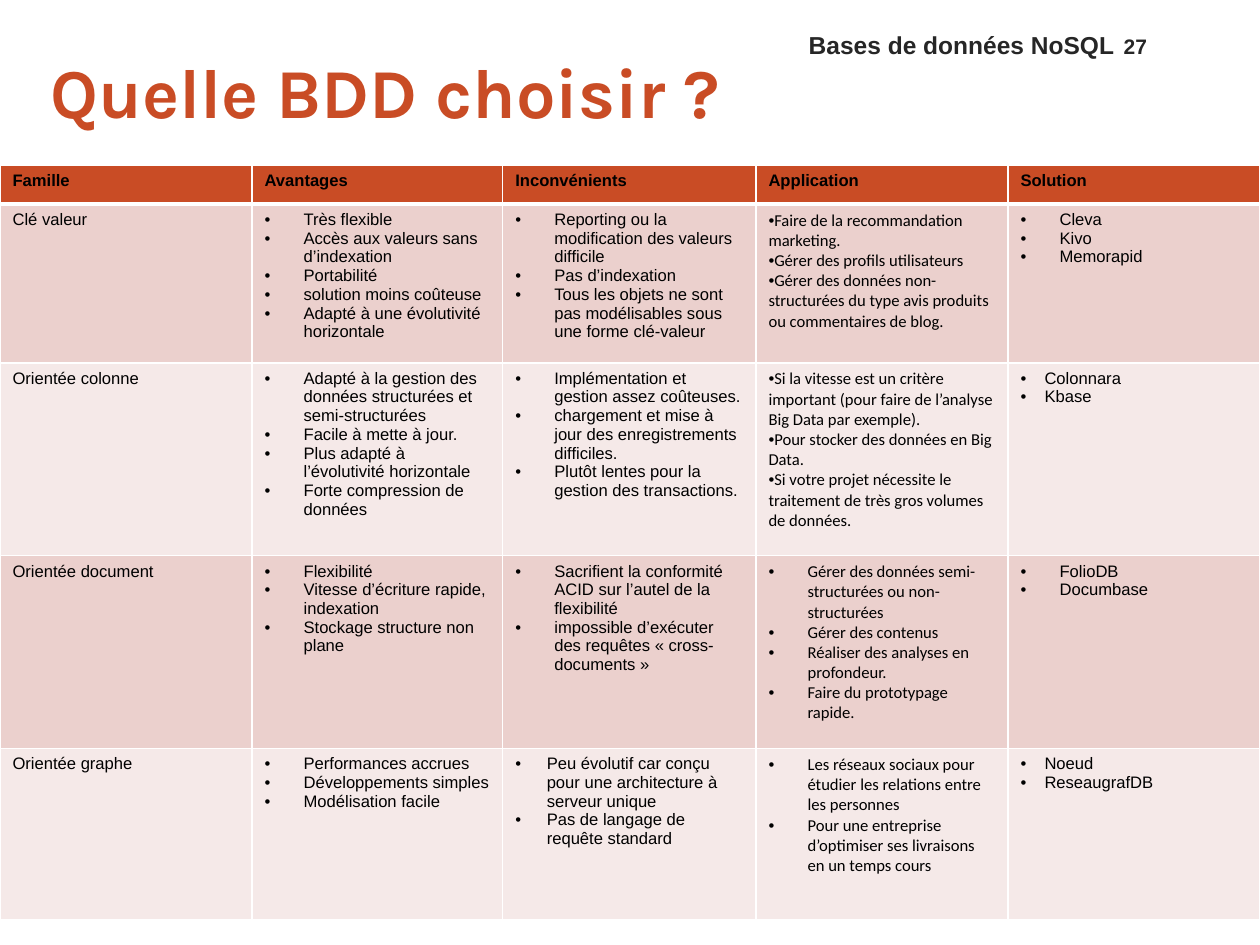
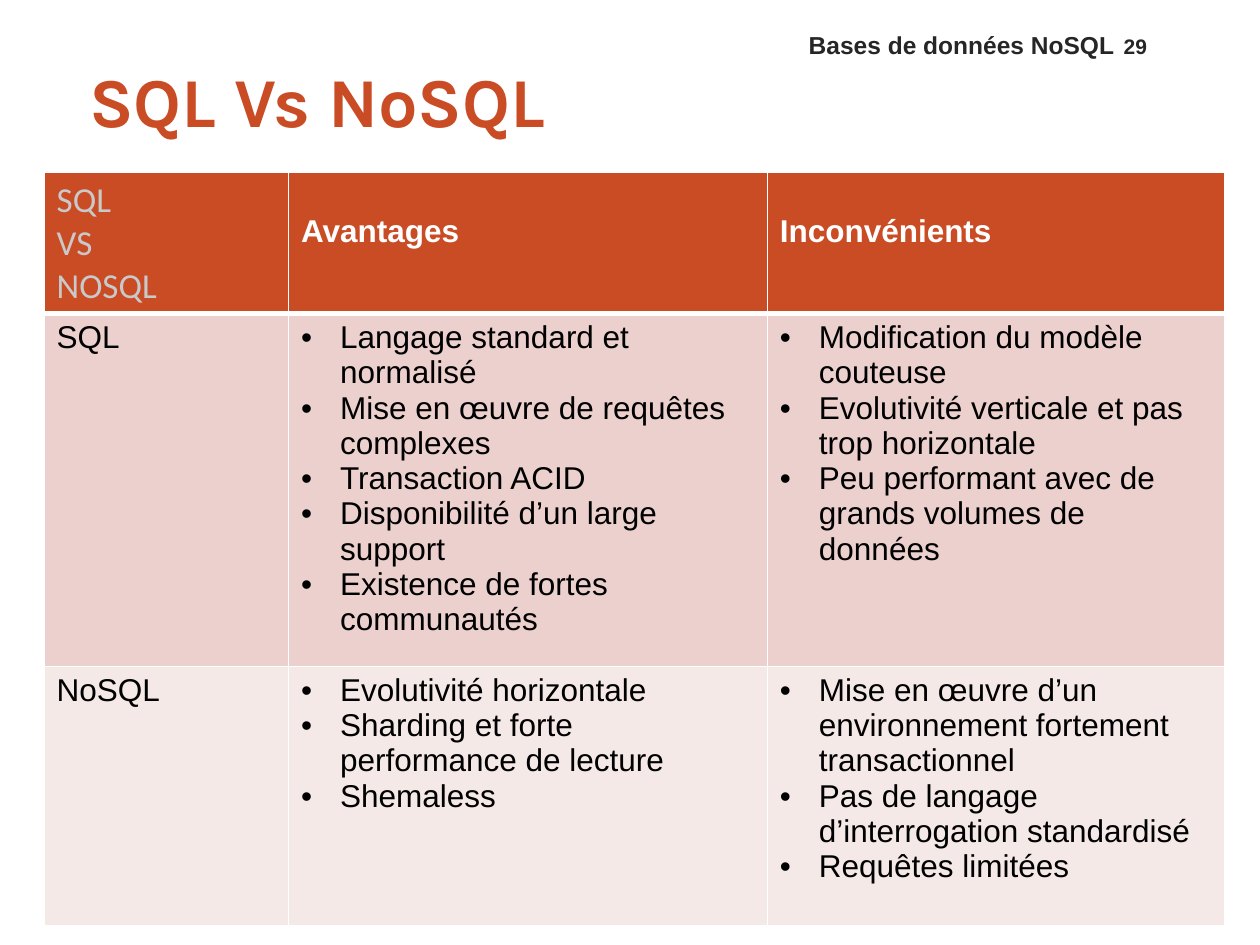
"""Builds two slides comparing database families, and SQL with NoSQL."""
from dataclasses import dataclass

from lxml import etree
from pptx import Presentation
from pptx import util as u
from pptx.dml.color import RGBColor
from pptx.enum import text
from pptx.oxml import ns

COLORS = {
    "accent": "C94C25",
    "dark_band": "EBD0CD",
    "light_band": "F5E9E8",
    "rule": "FFFFFF",
    "white": "FFFFFF",
    "body": "000000",
    "footer": "262626",
    "muted": "C9C9C9",
}
BLANK_LAYOUT = 6
COURSE = "Bases de données NoSQL"


@dataclass
class Style:
    size: float
    color: str = "body"
    bold: bool = False
    font: str = "Arial"


@dataclass
class Entry:
    lines: list
    indent: float = 0.31
    font: str = "Arial"


@dataclass
class Heading:
    lines: list
    style: Style
    top: float = 0.05


def calibri(*lines, indent=0.31):
    return Entry(lines, indent, "Calibri")


def bullets(*lines, indent=0.31):
    return Entry(lines, indent)


FAMILIES = [
    ["Clé valeur",
     bullets("Très flexible", "Accès aux valeurs sans d’indexation", "Portabilité",
             "solution moins coûteuse", "Adapté à une évolutivité horizontale"),
     bullets("Reporting ou la modification des valeurs difficile", "Pas d’indexation",
             "Tous les objets ne sont pas modélisables sous une forme clé-valeur"),
     calibri("Faire de la recommandation marketing.", "Gérer des profils utilisateurs",
             "Gérer des données non-structurées du type avis produits ou commentaires "
             "de blog.", indent=0),
     bullets("Cleva", "Kivo", "Memorapid")],
    ["Orientée colonne",
     bullets("Adapté à la gestion des données structurées et semi-structurées",
             "Facile à mette à jour.", "Plus adapté à l’évolutivité horizontale",
             "Forte compression de données"),
     bullets("Implémentation et gestion assez coûteuses.",
             "chargement et mise à jour des enregistrements difficiles.",
             "Plutôt lentes pour la gestion des transactions."),
     calibri("Si la vitesse est un critère important (pour faire de l’analyse Big Data "
             "par exemple).", "Pour stocker des données en Big Data.",
             "Si votre projet nécessite le traitement de très gros volumes de données.",
             indent=0),
     bullets("Colonnara", "Kbase", indent=0.19)],
    ["Orientée document",
     bullets("Flexibilité", "Vitesse d’écriture rapide, indexation",
             "Stockage structure non plane"),
     bullets("Sacrifient la conformité ACID sur l’autel de la flexibilité",
             "impossible d’exécuter des requêtes « cross-documents »"),
     calibri("Gérer des données semi-structurées ou non-structurées",
             "Gérer des contenus", "Réaliser des analyses en profondeur.",
             "Faire du prototypage rapide."),
     bullets("FolioDB", "Documbase")],
    ["Orientée graphe",
     bullets("Performances accrues", "Développements simples", "Modélisation facile"),
     bullets("Peu évolutif car conçu pour une architecture à serveur unique",
             "Pas de langage de requête standard", indent=0.25),
     calibri("Les réseaux sociaux pour étudier les relations entre les personnes",
             "Pour une entreprise d’optimiser ses livraisons en un temps cours"),
     bullets("Noeud", "ReseaugrafDB", indent=0.19)],
]

MODELS = [
    ["SQL",
     bullets("Langage standard et normalisé", "Mise en œuvre de requêtes complexes",
             "Transaction ACID", "Disponibilité d’un large support",
             "Existence de fortes communautés"),
     bullets("Modification du modèle couteuse",
             "Evolutivité verticale et pas trop horizontale",
             "Peu performant avec de grands volumes de données")],
    ["NoSQL",
     bullets("Evolutivité horizontale", "Sharding et forte performance de lecture",
             "Shemaless"),
     bullets("Mise en œuvre d’un environnement fortement transactionnel",
             "Pas de langage d’interrogation standardisé", "Requêtes limitées")],
]


def rgb(name):
    return RGBColor.from_string(COLORS[name])


def apply_style(font, style):
    font.size = u.Pt(style.size)
    font.name = style.font
    font.bold = style.bold
    font.color.rgb = rgb(style.color)


def set_indent(paragraph, left, first=0.0):
    properties = paragraph._p.get_or_add_pPr()
    properties.set("marL", str(u.Inches(left)))
    properties.set("indent", str(u.Inches(first)))
    return properties


def add_bullet(paragraph, indent):
    properties = set_indent(paragraph, indent, -indent)
    etree.SubElement(properties, ns.qn("a:buFont"), typeface="Arial")
    etree.SubElement(properties, ns.qn("a:buChar"), char="•")


def write_lines(frame, lines, style, bullet_indent=None):
    for index, line in enumerate(lines):
        paragraph = frame.add_paragraph() if index else frame.paragraphs[0]
        paragraph.text = line
        if bullet_indent is not None:
            add_bullet(paragraph, bullet_indent)
        apply_style(paragraph.font, style)


def add_text_frame(slide, left, top, width, height, anchor):
    box = slide.shapes.add_textbox(*map(u.Inches, (left, top, width, height)))
    frame = box.text_frame
    frame.word_wrap = True
    frame.vertical_anchor = anchor
    return frame


def add_title(slide, title, left, top, width):
    frame = add_text_frame(slide, left, top, width, 0.74, text.MSO_ANCHOR.MIDDLE)
    frame.margin_left = frame.margin_right = 0
    write_lines(frame, [title], Style(40, "accent", True, "Karla"))
    set_indent(frame.paragraphs[0], 0.2)


def add_course_header(slide, number):
    frame = add_text_frame(slide, 6.32, 0.19, 3.48, 0.33, text.MSO_ANCHOR.BOTTOM)
    for words, size in ((COURSE, 14), (f"\t{number}", 12)):
        run = frame.paragraphs[0].add_run()
        run.text = words
        apply_style(run.font, Style(size, "footer", True))


def set_borders(cell, row):
    widths = {"L": 1, "R": 1, "T": 3 if row == 1 else 1, "B": 3 if row == 0 else 1}
    properties = cell._tc.get_or_add_tcPr()
    for index, (side, width) in enumerate(widths.items()):
        line = etree.Element(ns.qn(f"a:ln{side}"), w=str(u.Pt(width)))
        fill = etree.SubElement(line, ns.qn("a:solidFill"))
        etree.SubElement(fill, ns.qn("a:srgbClr"), val=COLORS["rule"])
        properties.insert(index, line)


def fill_cell(cell, content, size, row):
    frame = cell.text_frame
    if isinstance(content, Heading):
        cell.margin_top = u.Inches(content.top)
        write_lines(frame, content.lines, content.style)
    elif isinstance(content, Entry):
        write_lines(frame, content.lines, Style(size, font=content.font), content.indent)
    else:
        write_lines(frame, [content], Style(size))
    band = "accent" if row == 0 else "dark_band" if row % 2 else "light_band"
    cell.fill.solid()
    cell.fill.fore_color.rgb = rgb(band)
    set_borders(cell, row)


def add_comparison(slide, left, top, widths, heights, rows, size):
    place = map(u.Inches, (left, top, sum(widths), sum(heights)))
    table = slide.shapes.add_table(len(heights), len(widths), *place).table
    for column, width in zip(table.columns, widths):
        column.width = u.Inches(width)
    for row, height in zip(table.rows, heights):
        row.height = u.Inches(height)
    for row, contents in enumerate(rows):
        for column, content in enumerate(contents):
            fill_cell(table.cell(row, column), content, size, row)


def add_course_slide(deck, number, title, left, top, width):
    slide = deck.slides.add_slide(deck.slide_layouts[BLANK_LAYOUT])
    add_title(slide, title, left, top, width)
    add_course_header(slide, number)
    return slide


def main():
    deck = Presentation()
    deck.slide_width, deck.slide_height = u.Inches(10), u.Inches(7.5)

    choice = add_course_slide(deck, 27, "Quelle BDD choisir ?", 0.2, 0.35, 5.67)
    names = ["Famille", "Avantages", "Inconvénients", "Application", "Solution"]
    family_heads = [Heading([name], Style(9.5, bold=True)) for name in names]
    add_comparison(choice, 0, 1.31, [2, 1.99, 2.01, 2, 2],
                   [0.31, 1.26, 1.53, 1.53, 1.36], [family_heads, *FAMILIES], 9.5)

    versus = add_course_slide(deck, 29, "SQL Vs NoSQL", 0.51, 0.42, 5.07)
    corner = Heading(["SQL", "VS", "NOSQL"], Style(20, "muted", font="Calibri"))
    model_heads = [Heading([name], Style(18, "white", True), top=0.33)
                   for name in names[1:3]]
    add_comparison(versus, 0.35, 1.37, [1.94, 3.8, 3.63], [1.12, 2.62, 2.06],
                   [[corner, *model_heads], *MODELS], 18)

    deck.save("out.pptx")


if __name__ == "__main__":
    main()
